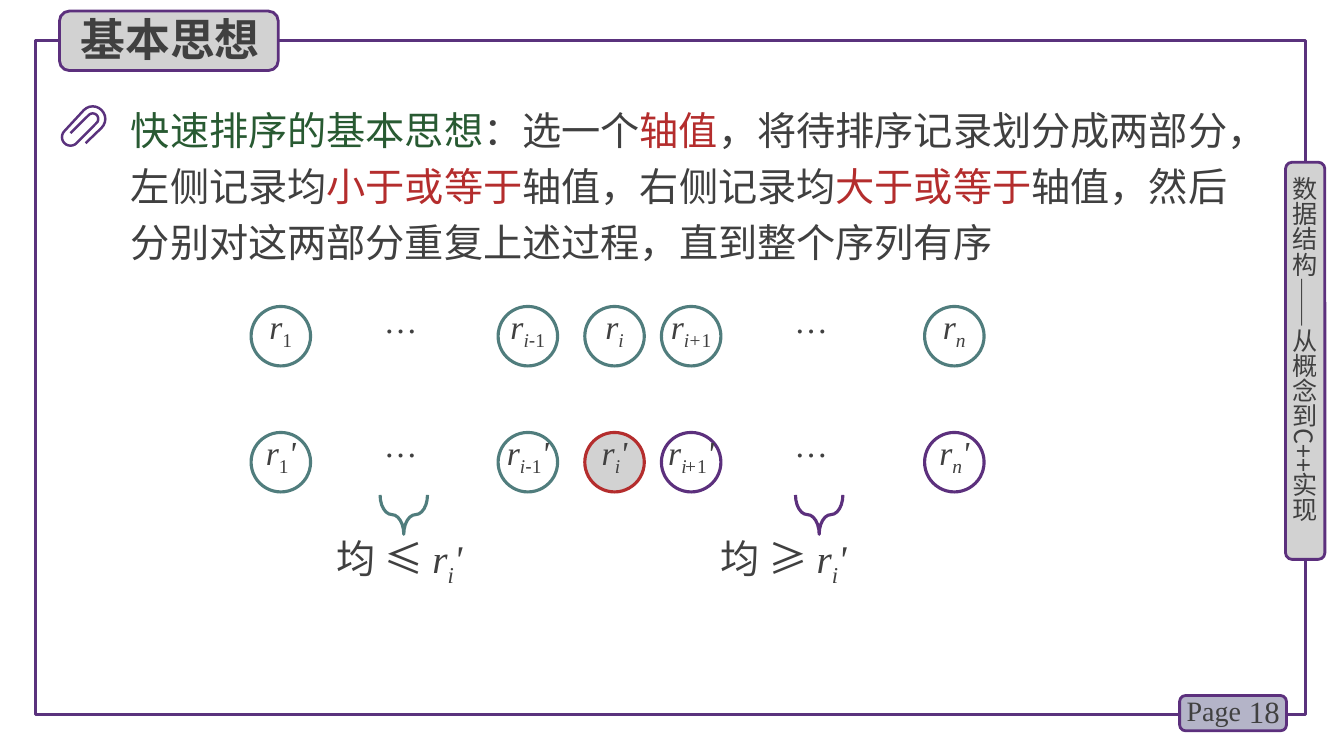
from math import cos, radians, sin

from lxml.etree import SubElement
from pptx import Presentation
from pptx.dml.color import RGBColor
from pptx.enum.shapes import MSO_SHAPE
from pptx.enum.text import MSO_ANCHOR, MSO_AUTO_SIZE, PP_ALIGN
from pptx.oxml.ns import qn
from pptx.util import Inches, Pt

COLORS = {
    "frame": "5A327D", "purple": "5C307D", "teal": "507D7D", "red": "B42D2D",
    "green": "285A32", "text": "404040", "grey": "D2D2D2", "lilac": "B4B4C8",
}
SERIF, CJK = "Times New Roman", "Noto Sans CJK SC"
ITALIC = {"italic": True}
SUB = {"base": -25}
SUB_ITALIC = {"base": -25, "italic": True}
R, PRIME = ("r", ITALIC), ("'", ITALIC)


def rgb(name):
    return RGBColor.from_string(COLORS[name])


def minus_one():
    """Subscript i-1 with a sans-serif minus sign."""
    return [("i", SUB_ITALIC), ("-", {**SUB, "name": "Arial"}), ("1", SUB)]


class Deck:
    def __init__(self):
        self.prs = Presentation()
        self.prs.slide_width, self.prs.slide_height = Inches(13.33), Inches(7.5)
        self.s = self.prs.slides.add_slide(self.prs.slide_layouts[6])

    def style(self, sp, fill, line, width):
        sp.shadow.inherit = False
        if fill:
            sp.fill.solid()
            sp.fill.fore_color.rgb = rgb(fill)
        else:
            sp.fill.background()
        sp.line.color.rgb = rgb(line)
        sp.line.width = Pt(width)
        return sp

    def shape(self, kind, box, line, fill=None, width=2.25):
        sp = self.s.shapes.add_shape(kind, *map(Inches, box))
        return self.style(sp, fill, line, width)

    def add_runs(self, sp, runs, size, name=SERIF, spacing=None, leading=None,
                 align=PP_ALIGN.LEFT, **frame):
        """Fill a shape with (text, format) runs; frame holds text frame attributes."""
        tf = sp.text_frame
        for key, value in {"word_wrap": True, **frame}.items():
            setattr(tf, key, value)
        p = tf.paragraphs[0]
        p.alignment = align
        if leading:
            p.line_spacing = Pt(leading)
        for text, fmt in runs:
            r = p.add_run()
            r.text = text
            fmt = {"size": Pt(size), "name": name, "color": "text", **fmt}
            r.font.color.rgb = rgb(fmt.pop("color"))
            base = fmt.pop("base", 0)
            for key, value in fmt.items():
                setattr(r.font, key, value)
            rPr = r.font._element
            if base:
                rPr.set("baseline", str(base * 1000))
            if spacing:
                rPr.set("spc", str(round(spacing * 100)))
            ea = SubElement(rPr, qn("a:ea"))
            ea.set("typeface", CJK)

    def text(self, box, runs, size, **options):
        sp = self.s.shapes.add_textbox(*map(Inches, box))
        options = {"auto_size": MSO_AUTO_SIZE.SHAPE_TO_FIT_TEXT, **options}
        self.add_runs(sp, runs, size, **options)
        return sp

    def record(self, x, y, runs, line, fill=None, spacing=None, inset=0.1):
        sp = self.shape(MSO_SHAPE.OVAL, (x, y, 0.59, 0.59), line, fill)
        self.add_runs(sp, runs, 24, spacing=spacing, leading=22,
                      align=PP_ALIGN.CENTER, word_wrap=False,
                      vertical_anchor=MSO_ANCHOR.MIDDLE,
                      margin_left=Inches(inset), margin_right=Inches(inset),
                      margin_top=0, margin_bottom=0)

    def dots(self, x, y):
        self.text((x, y, 1.01, 0.41), [("…", {})], 24, leading=22,
                  align=PP_ALIGN.CENTER)

    def brace(self, x, line, label_x, sign):
        """Downward brace with the comparison to the pivot below it."""
        sp = self.shape(MSO_SHAPE.LEFT_BRACE, (x, 4.87, 0.39, 0.47), line)
        sp.rotation = 270
        sp.adjustments[0], sp.adjustments[1] = 0.729, 0.5
        self.text((label_x, 5.25, 2.17, 0.57),
                  [(f"均 {sign} ", {}), R, ("i", SUB_ITALIC), PRIME], 28)

    def paper_clip(self):
        points = [(0.85, 1.42)]
        bends = [(0.92, 1.18, 0.125, 45, -135), (0.7, 1.36, 0.085, -135, -315),
                 (0.92, 1.18, 0.055, 45, -135)]
        for cx, cy, radius, start, end in bends:
            for angle in range(start, end - 1, -15):
                a = radians(angle)
                points.append((cx + radius * cos(a), cy + radius * sin(a)))
        points.append((0.7, 1.32))
        # Local units of 1/1000 inch keep the curve smooth
        units = [(round(x * 1000), round(y * 1000)) for x, y in points]
        builder = self.s.shapes.build_freeform(*units[0], scale=Inches(1) / 1000)
        builder.add_line_segments(units[1:], close=False)
        self.style(builder.convert_to_shape(), None, "frame", 1.75)


def main():
    deck = Deck()
    rounded = MSO_SHAPE.ROUNDED_RECTANGLE

    # Frame, page number, side label and title
    deck.shape(MSO_SHAPE.RECTANGLE, (0.35, 0.4, 12.6, 6.69), "frame")
    deck.shape(rounded, (11.7, 6.9, 1.06, 0.35), "purple", "lilac", 2)
    deck.text((12.2, 6.86, 0.59, 0.4), [("18", {})], 22, align=PP_ALIGN.RIGHT,
              vertical_anchor=MSO_ANCHOR.MIDDLE, auto_size=MSO_AUTO_SIZE.NONE)
    deck.text((11.67, 6.83, 0.78, 0.44), [("Page", {})], 20)
    deck.shape(rounded, (12.75, 1.61, 0.39, 3.94), "purple", "grey", 2)
    side = deck.text((12.79, 1.75, 0.3, 3.78), [("数据结构——从概念到C++实现", {})], 18,
                     name=CJK, margin_left=0, margin_right=0, margin_top=0,
                     margin_bottom=0)
    side.text_frame._txBody.bodyPr.set("vert", "eaVert")
    deck.shape(rounded, (0.59, 0.11, 2.17, 0.59), "purple", "grey", 2)
    deck.text((0.7, 0.07, 2.12, 0.64), [("基本思想", {"bold": True})], 32, name=CJK)

    # Basic idea
    red = {"color": "red"}
    deck.text((1.2, 0.92, 11.43, 1.78), [
        ("快速排序的基本思想", {"color": "green"}),
        ("：选一个", {}), ("轴值", red),
        ("，将待排序记录划分成两部分，左侧记录均", {}), ("小于或等于", red),
        ("轴值，右侧记录均", {}), ("大于或等于", red),
        ("轴值，然后分别对这两部分重复上述过程，直到整个序列有序", {}),
    ], 28, name=CJK, leading=40)
    deck.paper_clip()

    # Records before (top row) and after (bottom row) partitioning:
    # x, subscript, line after, fill after, spacing before, spacing after, inset
    plus_one = [("i+", SUB_ITALIC), ("1", SUB)]
    records = [
        (2.49, [("1", SUB)], "teal", None, None, -1, 0.1),
        (4.94, minus_one(), "teal", None, -0.7, -2, 0),
        (5.8, [("i", SUB_ITALIC)], "red", "grey", None, None, 0.1),
        (6.56, plus_one, "purple", None, -0.7, -2, 0.1),
        (9.17, [("n", SUB_ITALIC)], "purple", None, None, -1, 0.1),
    ]
    for x, sub, line, fill, before, after, inset in records:
        deck.record(x, 3.04, [R, *sub], "teal", None, before, inset)
        deck.record(x, 4.29, [R, *sub, PRIME], line, fill, after, inset)
    for x in (3.47, 7.54):
        for y in (3.02, 4.25):
            deck.dots(x, y)
    deck.brace(3.81, "teal", 3.24, "≤")
    deck.brace(7.93, "purple", 7.05, "≥")

    deck.prs.save("out.pptx")


if __name__ == "__main__":
    main()
